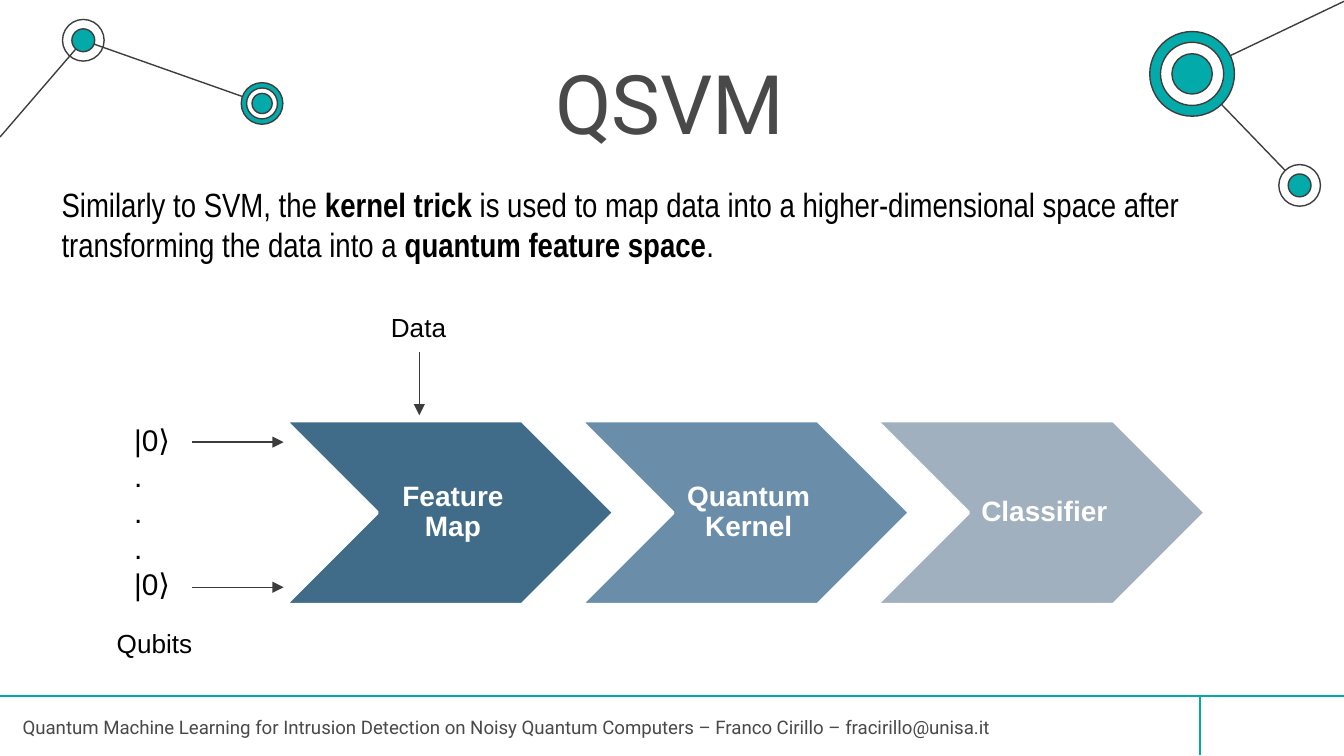
from lxml import etree
from pptx import Presentation
from pptx import util as u
from pptx.dml.color import RGBColor
from pptx.enum import shapes, text
from pptx.oxml.ns import qn

TEAL, INK, GREY = "02ABA9", "3D3D3D", "494949"
WHITE, BLACK, ARROW = "FFFFFF", "000000", "3C3C3C"


def color(value):
    return RGBColor.from_string(value)


class SlideBuilder:
    """Holds the text style and the current slide."""

    font = "Arial"
    thin = 0.75

    def __init__(self, page):
        self.page = page

    def line(self, start, end, stroke=INK, arrow=False):
        ends = [u.Inches(value) for value in (*start, *end)]
        connector = self.page.shapes.add_connector(
            shapes.MSO_CONNECTOR.STRAIGHT, *ends)
        connector.line.color.rgb = color(stroke)
        connector.line.width = u.Pt(self.thin)
        if arrow:
            outline = connector.line._get_or_add_ln()
            etree.SubElement(outline, qn("a:tailEnd"), type="triangle")
        properties = connector._element.spPr
        etree.SubElement(properties, qn("a:effectLst"))

    def shape(self, kind, area, fill, stroke, width):
        shape = self.page.shapes.add_shape(kind, *map(u.Inches, area))
        shape.shadow.inherit = False
        if fill:
            shape.fill.solid()
            shape.fill.fore_color.rgb = color(fill)
        else:
            shape.fill.background()
        shape.line.color.rgb = color(stroke)
        shape.line.width = u.Pt(width)
        return shape

    def node(self, center, rings):
        """Concentric circles, given as (diameter, fill) from the outside in."""
        for size, fill in rings:
            left, top = (value - size / 2 for value in center)
            self.shape(shapes.MSO_SHAPE.OVAL, (left, top, size, size),
                       fill, INK, self.thin)

    def style(self, para, size, ink, font=None, bold=None):
        para.font.name = font or self.font
        para.font.size = u.Pt(size)
        para.font.color.rgb = color(ink)
        para.font.bold = bold

    def title(self, wording, area, size):
        box = self.page.shapes.title
        box.left, box.top, box.width, box.height = map(u.Inches, area)
        frame = box.text_frame
        frame.text = wording
        frame.auto_size = text.MSO_AUTO_SIZE.NONE
        frame.vertical_anchor = text.MSO_ANCHOR.TOP
        frame.margin_top = frame.margin_bottom = u.Inches(0.1)
        para = frame.paragraphs[0]
        para.alignment = text.PP_ALIGN.CENTER
        self.style(para, size, GREY, "Roboto")

    def text(self, paragraphs, area, size, ink=BLACK, font=None):
        """Each paragraph is a list of spans; every second span is bold."""
        box = self.page.shapes.add_textbox(*map(u.Inches, area))
        frame = box.text_frame
        frame.word_wrap = True
        for index, spans in enumerate(paragraphs):
            para = frame.add_paragraph() if index else frame.paragraphs[0]
            self.style(para, size, ink, font)
            for position, wording in enumerate(spans):
                span = para.add_run()
                span.text = wording
                if position % 2:
                    span.font.bold = True

    def step(self, wording, area, fill):
        chevron = self.shape(shapes.MSO_SHAPE.CHEVRON, area, fill, WHITE, 2)
        frame = chevron.text_frame
        frame.text = wording
        frame.word_wrap = True
        frame.vertical_anchor = text.MSO_ANCHOR.MIDDLE
        frame.margin_left = u.Inches(0.07)
        frame.margin_top = frame.margin_right = frame.margin_bottom = u.Inches(0.02)
        para = frame.paragraphs[0]
        para.alignment = text.PP_ALIGN.CENTER
        para.line_spacing = 0.9
        self.style(para, 15, WHITE, bold=True)


def main():
    # Widescreen page, 16:9
    deck = Presentation()
    deck.slide_width = u.Inches(10)
    deck.slide_height = deck.slide_width * 9 // 16
    page = deck.slides.add_slide(deck.slide_layouts[5])
    build = SlideBuilder(page)

    # Corner networks: links first, then nodes on top
    upper_left, lower_left = (0.62, 0.3), (1.95, 0.77)
    upper_right, lower_right = (8.87, 0.55), (9.67, 1.38)
    build.line(lower_right, upper_right)
    build.line(upper_left, lower_left)
    build.line((0, 1.02), upper_left)
    build.line((10, 0.01), upper_right)
    build.node(upper_left, [(0.31, None), (0.17, TEAL)])
    build.node(lower_left, [(0.31, TEAL), (0.23, WHITE), (0.15, TEAL)])
    build.node(upper_right, [(0.63, TEAL), (0.47, WHITE), (0.3, TEAL)])
    build.node(lower_right, [(0.31, WHITE), (0.17, TEAL)])

    # Footer
    build.line((0, 5.18), (10, 5.18), TEAL)
    build.line((8.93, 5.18), (8.93, 5.62), TEAL)
    build.text([["Quantum Machine Learning for Intrusion Detection on Noisy "
                 "Quantum Computers – Franco Cirillo – fracirillo@unisa.it"]],
               (0.07, 5.28, 8.7, 0.27), 10, GREY, "Roboto")

    # Title and statement
    build.title("QSVM", (1.7, 0.29, 6.57, 0.65), 44)
    build.text([["Similarly to SVM, the ", "kernel trick",
                 " is used to map data into a higher-dimensional space after "
                 "transforming the data into a ", "quantum feature space", "."]],
               (0.36, 1.32, 9.01, 0.71), 18, font="Arial Narrow")

    # Process chevrons
    steps = [("Feature Map", "406C89"), ("Quantum Kernel", "6A8EAA"),
             ("Classifier", "A0B0BF")]
    for index, (wording, fill) in enumerate(steps):
        build.step(wording, (2.12 + 2.2 * index, 3.13, 2.45, 1.37), fill)

    # Inputs: qubits from the left, data from above
    build.text([[mark] for mark in ("|0⟩", ".", ".", ".", "|0⟩")],
               (0.9, 3.09, 0.72, 1.45), 16)
    for height in (3.29, 4.37):
        build.line((1.43, height), (2.11, height), ARROW, arrow=True)
    build.line((3.12, 2.62), (3.12, 3.09), ARROW, arrow=True)
    build.text([["Data"]], (2.81, 2.27, 0.62, 0.34), 14)
    build.text([["Qubits"]], (0.77, 4.62, 0.83, 0.34), 14)

    deck.save("out.pptx")


if __name__ == "__main__":
    main()
